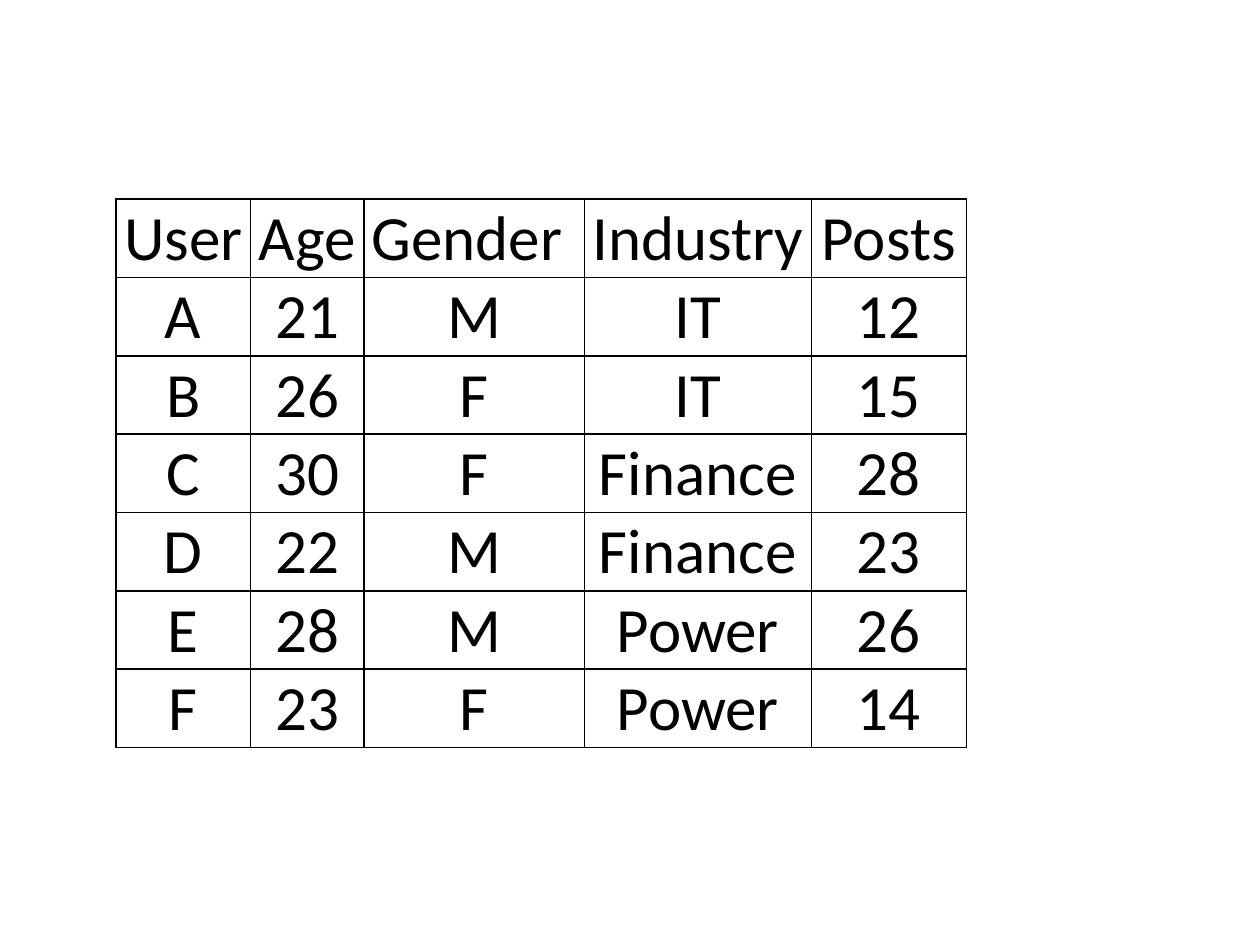
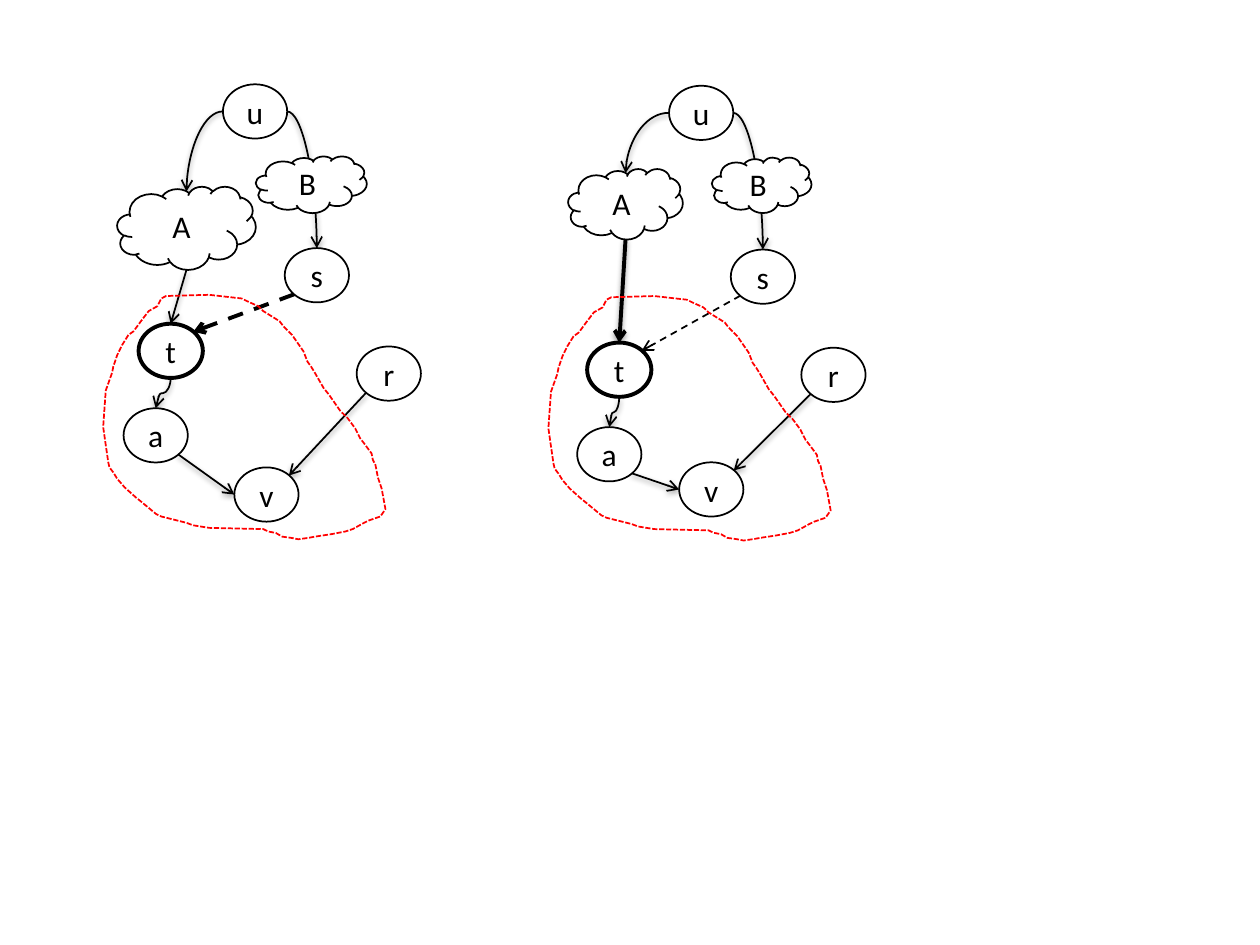
"""Build a user table slide and a slide with two graphs."""

from dataclasses import dataclass
from typing import NamedTuple

from lxml.etree import SubElement as Sub
from pptx import Presentation
from pptx.dml.color import RGBColor as Rgb
from pptx.enum.dml import MSO_LINE as Dash
from pptx.enum.shapes import MSO_CONNECTOR as Link, MSO_SHAPE as Form
from pptx.enum.text import MSO_ANCHOR as Anchor, PP_ALIGN as Align
from pptx.oxml.ns import qn
from pptx.util import Pt


@dataclass(frozen=True)
class Theme:
    """Colours, type sizes and line widths of the deck."""

    ink: str = "000000"
    paper: str = "FFFFFF"
    alert: str = "FF0000"
    font: str = "Calibri"
    large: float = 36
    small: float = 18
    thin: float = 1
    thick: float = 2.25


class Node(NamedTuple):
    """A labelled oval or cloud."""

    left: float
    top: float
    wide: float = 36.7
    high: float = 31
    form: Form = Form.OVAL
    bold: bool = False

    def site(self, name: str) -> tuple[float, float]:
        """Return the point of a named site on the border."""
        x, y = SITES[name]
        return self.left + x * self.wide, self.top + y * self.high


class Edge(NamedTuple):
    """An arrow between the sites of two nodes."""

    tail: str
    start: str
    head: str
    end: str
    bend: str = "line"
    dash: bool = False


class Graph(NamedTuple):
    """Nodes, the pair joined by the thick arrow, and the outline's offset."""

    nodes: dict[str, Node]
    heavy: tuple[str, str]
    shift: tuple[float, float]


THEME = Theme()

SITES = {
    "top": (0.5, 0), "base": (0.5, 1), "left": (0, 0.5), "right": (1, 0.5),
    "cap": (0.5, 0.06), "sw": (0.15, 0.85), "se": (0.85, 0.85), "ne": (0.85, 0.15),
}

ROWS = [
    ("User", "Age", "Gender ", "Industry", "Posts"),
    ("A", "21", "M", "IT", "12"),
    ("B", "26", "F", "IT", "15"),
    ("C", "30", "F", "Finance", "28"),
    ("D", "22", "M", "Finance", "23"),
    ("E", "28", "M", "Power", "26"),
    ("F", "23", "F", "Power", "14"),
]
WIDTHS = (77, 64.8, 126, 129.6, 88.6)
HEIGHT = 44.6

EDGES = [
    Edge("u", "left", "A", "cap", "curvedConnector2"),
    Edge("u", "right", "s", "top", "curvedConnector2"),
    Edge("A", "base", "t", "top"),
    Edge("s", "sw", "t", "ne", dash=True),
    Edge("t", "base", "a", "top", "curvedConnector3"),
    Edge("a", "se", "v", "left"),
    Edge("r", "sw", "v", "ne"),
]

GRAPHS = [
    Graph({
        "u": Node(127.4, 48.2), "s": Node(162.7, 141.8),
        "t": Node(79.2, 185, bold=True), "a": Node(70.6, 233.3),
        "v": Node(133.9, 267.1), "r": Node(203.8, 198),
        "A": Node(67, 106.6, 79.2, 47.5, Form.CLOUD),
        "B": Node(146.2, 89.3, 63.4, 32.4, Form.CLOUD),
    }, ("s", "t"), (0, 0)),
    Graph({
        "u": Node(382.3, 49), "s": Node(417.6, 142.6),
        "t": Node(335.5, 195.8, bold=True), "a": Node(329.8, 244.1),
        "v": Node(388.1, 264.2), "r": Node(457.9, 198.7),
        "A": Node(324.7, 96.5, 65.5, 40.3, Form.CLOUD),
        "B": Node(406.8, 90, 56.9, 31.7, Form.CLOUD),
    }, ("A", "t"), (254.4, 0.7)),
]

OUTLINE = [
    (90, 175), (85, 177.8), (80.6, 183.6), (78.5, 186.5), (76.3, 189.4),
    (73.4, 191.5), (69.8, 197.3), (67, 203), (64.8, 209.5), (64.1, 213.1),
    (60.5, 223.2), (59, 244.1), (61.9, 264.2), (62.6, 267.1), (64.8, 270),
    (67, 273.6), (71.3, 278.6), (77.8, 284.4), (80.6, 286.6), (89.3, 293.8),
    (92.2, 295.2), (106.6, 298.8), (110.2, 300.2), (119.5, 301.7),
    (150.5, 302.4), (153.4, 303.8), (157.7, 304.6), (161.3, 306.7),
    (166.3, 307.4), (170.6, 308.2), (176.4, 307.4), (180, 306.7),
    (189.4, 305.3), (197.3, 303.8), (201.6, 302.4), (208.1, 298.8),
    (211, 297.4), (217.4, 295.2), (220.3, 291), (218.2, 279.4), (216, 272.9),
    (214.6, 265.7), (213.1, 262.8), (212.4, 259.2), (208.1, 253.4),
    (205.9, 250.6), (203, 244.8), (198.7, 239), (194.4, 234.7),
    (187.9, 225.4), (185, 221.8), (180, 213.1), (177.8, 209.5),
    (175.7, 206.6), (173.5, 200.9), (167, 191.5), (164.9, 189.4),
    (162, 186.5), (159.8, 183.6), (150.5, 177.8), (147.6, 175),
    (141.1, 172.1), (138.2, 170.6), (119.5, 168.5), (95, 169.2), (92.2, 170.6),
]


def write(frame, text: str, *, size: float, color: str = THEME.ink,
          align: Align = Align.CENTER) -> None:
    """Put one formatted run into a text frame."""
    line = frame.paragraphs[0]
    line.alignment = align
    run = line.add_run()
    run.text = text
    run.font.name = THEME.font
    run.font.size = Pt(size)
    run.font.color.rgb = Rgb.from_string(color)


def stroke(shape, color: str, width: float, dash: Dash | None = None) -> None:
    """Set the line of a shape or connector."""
    shape.line.color.rgb = Rgb.from_string(color)
    shape.line.width = Pt(width)
    if dash:
        shape.line.dash_style = dash


def tint(parent, color: str):
    """Add a solid fill to an XML parent and return its colour."""
    return Sub(Sub(parent, qn("a:solidFill")), qn("a:srgbClr"), val=color)


def frame_cell(cell) -> None:
    """Give a cell thin borders, tight margins and no fill."""
    props = cell._tc.get_or_add_tcPr()
    for side in "LRTB":
        tint(Sub(props, qn(f"a:ln{side}"), w=str(Pt(THEME.thin))), THEME.ink)
    cell.fill.background()
    cell.margin_left = cell.margin_right = cell.margin_top = Pt(0.7)
    cell.margin_bottom = Pt(0)
    cell.vertical_anchor = Anchor.BOTTOM


def draw_table(slide) -> None:
    """Draw the table of users."""
    table = slide.shapes.add_table(
        len(ROWS), len(WIDTHS), Pt(66.2), Pt(113.8),
        Pt(sum(WIDTHS)), Pt(HEIGHT * len(ROWS))).table
    table.first_row = table.horz_banding = False
    for col, width in zip(table.columns, WIDTHS):
        col.width = Pt(width)
    for row, texts in zip(table.rows, ROWS):
        row.height = Pt(HEIGHT)
        for cell, text in zip(row.cells, texts):
            frame_cell(cell)
            write(cell.text_frame, text, size=THEME.large)


def draw_node(slide, name: str, node: Node) -> None:
    """Draw a node with its label."""
    shape = slide.shapes.add_shape(
        node.form, Pt(node.left), Pt(node.top), Pt(node.wide), Pt(node.high))
    shape.shadow.inherit = False
    shape.fill.solid()
    shape.fill.fore_color.rgb = Rgb.from_string(THEME.paper)
    stroke(shape, THEME.ink, THEME.thick if node.bold else THEME.thin)
    shape.text_frame.vertical_anchor = Anchor.MIDDLE
    write(shape.text_frame, name, size=THEME.small)


def draw_edge(slide, graph: Graph, edge: Edge) -> None:
    """Draw an arrow; solid ones cast a soft shadow."""
    x1, y1 = graph.nodes[edge.tail].site(edge.start)
    x2, y2 = graph.nodes[edge.head].site(edge.end)
    turn = edge.bend == "curvedConnector3"
    if turn:
        x, y, dx, dy = (x1 + x2) / 2, (y1 + y2) / 2, (y2 - y1) / 2, (x1 - x2) / 2
        x1, y1, x2, y2 = x - dx, y - dy, x + dx, y + dy
    kind = Link.STRAIGHT if edge.bend == "line" else Link.CURVE
    arrow = slide.shapes.add_connector(kind, Pt(x1), Pt(y1), Pt(x2), Pt(y2))
    if turn:
        arrow.rotation = 90
    heavy = (edge.tail, edge.head) == graph.heavy
    stroke(arrow, THEME.ink, THEME.thick if heavy else THEME.thin,
           Dash.DASH if edge.dash else None)
    props = arrow._element.spPr
    props.find(qn("a:prstGeom")).set("prst", edge.bend)
    Sub(props.find(qn("a:ln")), qn("a:tailEnd"), type="arrow")
    effects = Sub(props, qn("a:effectLst"))
    if not edge.dash:
        shade = Sub(effects, qn("a:outerShdw"), blurRad=str(Pt(3.1)),
                    dist=str(Pt(1.6)), dir="5400000", rotWithShape="0")
        Sub(Sub(shade, qn("a:srgbClr"), val=THEME.ink), qn("a:alpha"), val="38000")


def draw_outline(slide, shift: tuple[float, float]) -> None:
    """Draw the dashed region around the lower nodes."""
    points = [(Pt(x + shift[0]), Pt(y + shift[1])) for x, y in OUTLINE]
    pen = slide.shapes.build_freeform(*points[0])
    pen.add_line_segments(points[1:], close=True)
    shape = pen.convert_to_shape()
    shape.shadow.inherit = False
    shape.fill.background()
    stroke(shape, THEME.alert, THEME.thin, Dash.SQUARE_DOT)


def draw_graph(slide, graph: Graph) -> None:
    """Draw arrows, then nodes over them, then the outline."""
    for edge in EDGES:
        draw_edge(slide, graph, edge)
    for name, node in graph.nodes.items():
        draw_node(slide, name, node)
    draw_outline(slide, graph.shift)


def main() -> None:
    """Build and save the deck."""
    deck = Presentation()
    deck.slide_width, deck.slide_height = Pt(720), Pt(540)
    blank = deck.slide_layouts[6]
    draw_table(deck.slides.add_slide(blank))
    slide = deck.slides.add_slide(blank)
    for graph in GRAPHS:
        draw_graph(slide, graph)
    deck.save("out.pptx")


main()
